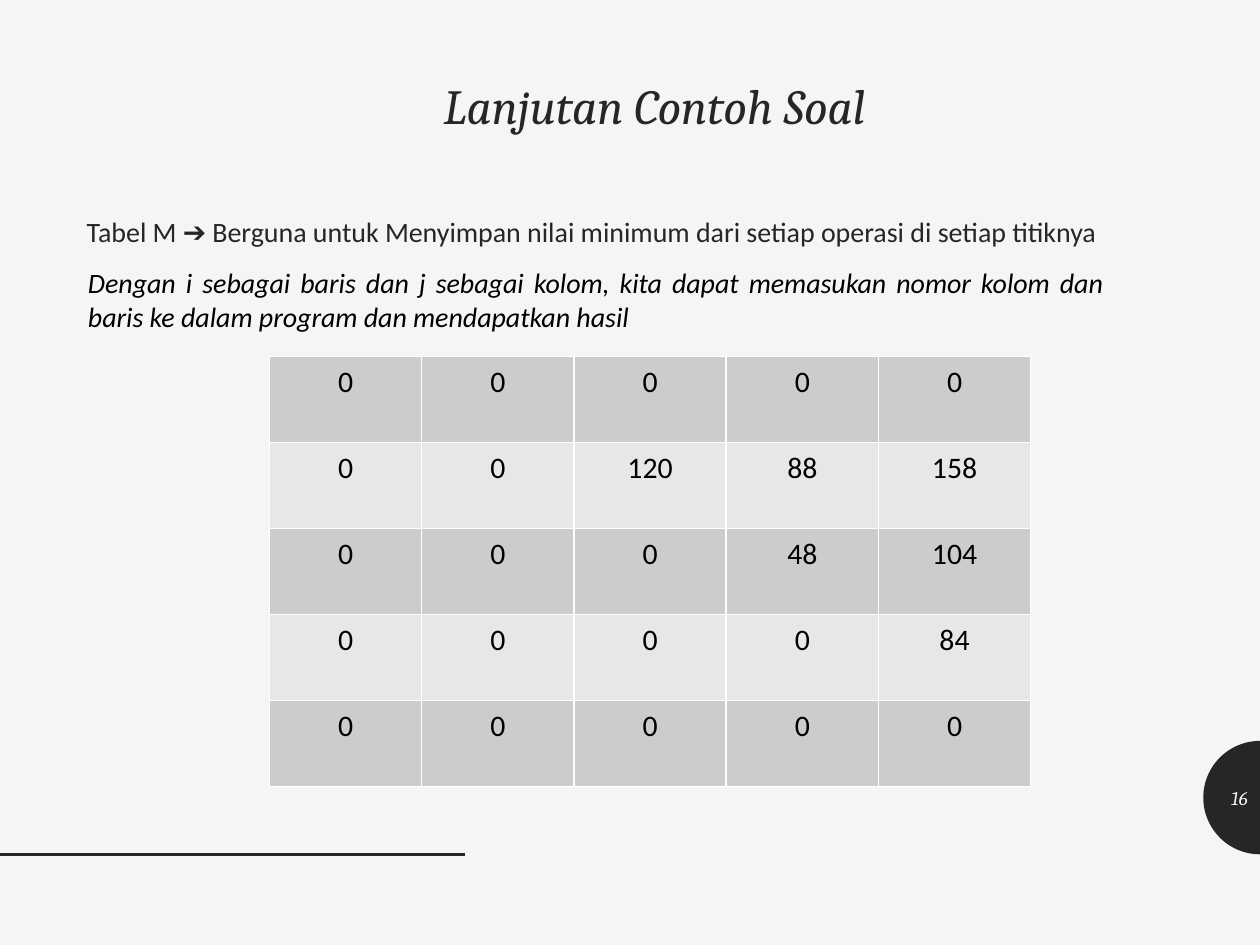
"""Builds the slide about table M with its 5 x 5 grid of minimum values."""
from math import cos, pi, sin

from lxml import etree
from pptx import Presentation
from pptx.dml.color import RGBColor
from pptx.enum.shapes import MSO_CONNECTOR
from pptx.enum.text import MSO_ANCHOR, PP_ALIGN
from pptx.oxml.ns import qn
from pptx.util import Pt

LEFT, CENTER, RIGHT, JUSTIFY = PP_ALIGN.LEFT, PP_ALIGN.CENTER, PP_ALIGN.RIGHT, PP_ALIGN.JUSTIFY
TOP, MIDDLE = MSO_ANCHOR.TOP, MSO_ANCHOR.MIDDLE
STRAIGHT = MSO_CONNECTOR.STRAIGHT

PAPER = RGBColor(0xF5, 0xF5, 0xF5)
INK = RGBColor(0x26, 0x26, 0x26)
BLACK = RGBColor(0, 0, 0)
WHITE = RGBColor(0xFF, 0xFF, 0xFF)
BANDS = (RGBColor(0xCC, 0xCC, 0xCC), RGBColor(0xE7, 0xE7, 0xE7))

VALUES = (
    (0, 0, 0, 0, 0),
    (0, 0, 120, 88, 158),
    (0, 0, 0, 48, 104),
    (0, 0, 0, 0, 84),
    (0, 0, 0, 0, 0),
)


def write(tf, text, size, color, font="Calibri", italic=False, align=LEFT, spacing=1.0):
    """Add one formatted run to the first paragraph of a text frame."""
    p = tf.paragraphs[0]
    p.alignment, p.line_spacing = align, spacing
    r = p.add_run()
    r.text = text
    r.font.size, r.font.name, r.font.italic = Pt(size), font, italic
    r.font.color.rgb = color


def add_text(slide, box, text, size, color, anchor=TOP, **style):
    """Place a wrapping text box in the given box."""
    tf = slide.shapes.add_textbox(*map(Pt, box)).text_frame
    tf.word_wrap, tf.vertical_anchor = True, anchor
    write(tf, text, size, color, **style)


def add_title(slide, box, text):
    """Move and fill the title placeholder."""
    sp = slide.shapes.title
    sp.left, sp.top, sp.width, sp.height = map(Pt, box)
    tf = sp.text_frame
    tf.word_wrap, tf.vertical_anchor = True, TOP
    write(tf, text, 28, INK, font="Cambria", italic=True, align=CENTER, spacing=0.9)


def add_page_badge(slide, box, number):
    """Draw a left half disc in the box, with the page number in its middle."""
    x, y, w, h = box
    angles = [pi / 2 + pi * i / 48 for i in range(49)]
    points = [(Pt(x + w + w * cos(a)), Pt(y + h / 2 - h / 2 * sin(a))) for a in angles]
    builder = slide.shapes.build_freeform(*points[0])
    builder.add_line_segments(points[1:])
    sp = builder.convert_to_shape()
    sp.shadow.inherit = False
    sp.fill.solid()
    sp.fill.fore_color.rgb = INK
    sp.line.fill.background()
    add_text(slide, (x, y + h / 2 - 14.4, w, 28.8), number, 11, PAPER,
             anchor=MIDDLE, font="Cambria", italic=True, align=RIGHT)


def add_rule(slide, x, y, w):
    """Draw the horizontal footer line."""
    line = slide.shapes.add_connector(STRAIGHT, Pt(x), Pt(y), Pt(x + w), Pt(y))
    line.line.color.rgb, line.line.width = INK, Pt(2)
    etree.SubElement(line._element.spPr, qn("a:effectLst"))


def add_borders(cell):
    """Give a cell white one-point borders on all sides."""
    tcPr = cell._tc.get_or_add_tcPr()
    for i, side in enumerate(("lnL", "lnR", "lnT", "lnB")):
        ln = etree.Element(qn(f"a:{side}"), w=str(Pt(1)))
        fill = etree.SubElement(ln, qn("a:solidFill"))
        etree.SubElement(fill, qn("a:srgbClr"), val=str(WHITE))
        tcPr.insert(i, ln)


def add_grid(slide, box, values):
    """Fill the box with an evenly divided, banded table."""
    x, y, w, h = box
    rows, cols = len(values), len(values[0])
    table = slide.shapes.add_table(rows, cols, Pt(x), Pt(y), Pt(w), Pt(h)).table
    table.first_row = False
    for col in table.columns:
        col.width = Pt(w / cols)
    for i, row in enumerate(values):
        table.rows[i].height = Pt(h / rows)
        for j, value in enumerate(row):
            cell = table.cell(i, j)
            cell.margin_left = cell.margin_right = Pt(9.4)
            cell.margin_top = cell.margin_bottom = Pt(4.3)
            cell.fill.solid()
            cell.fill.fore_color.rgb = BANDS[i % 2]
            add_borders(cell)
            write(cell.text_frame, str(value), 17, BLACK, align=CENTER)


def main():
    """Build and save the slide."""
    prs = Presentation()
    prs.slide_width, prs.slide_height = Pt(720), Pt(540)
    slide = prs.slides.add_slide(prs.slide_layouts[5])
    slide.background.fill.solid()
    slide.background.fill.fore_color.rgb = PAPER
    add_title(slide, (206.6, 43.2, 334.8, 56.9), "Lanjutan Contoh Soal")
    add_text(slide, (42.5, 116.6, 657.4, 39.6),
             "Tabel M \u2794 Berguna untuk Menyimpan nilai minimum dari setiap operasi di setiap titiknya",
             16, INK, spacing=1.12)
    add_text(slide, (43.2, 148.3, 594.7, 46),
             "Dengan i sebagai baris dan j sebagai kolom, kita dapat memasukan nomor kolom dan "
             "baris ke dalam program dan mendapatkan hasil",
             16, BLACK, italic=True, align=JUSTIFY)
    add_grid(slide, (154, 203.8, 435, 245.5), VALUES)
    add_rule(slide, 0, 488.2, 265.7)
    add_page_badge(slide, (687.6, 423.4, 32.4, 64.8), "16")
    prs.save("out.pptx")


main()
